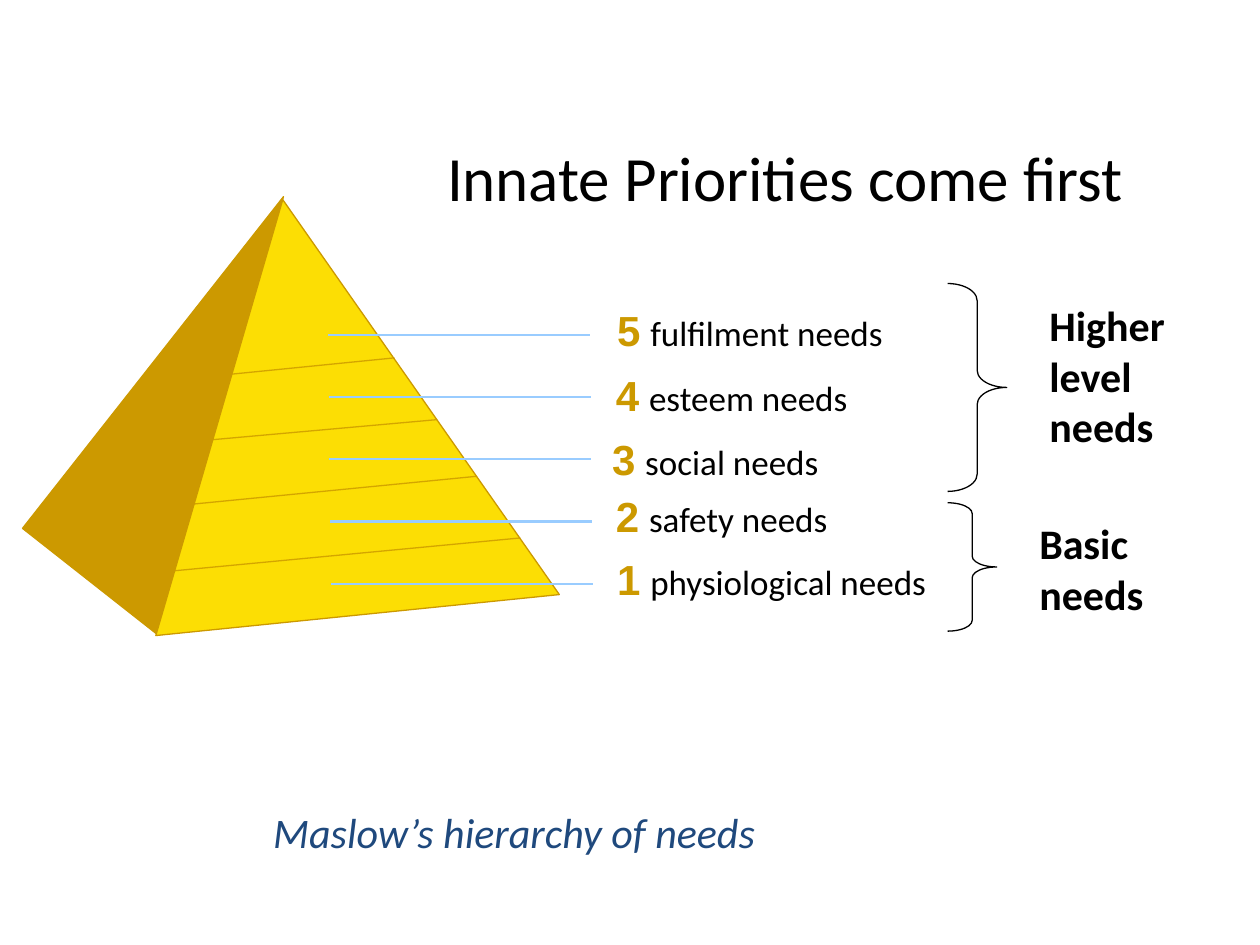
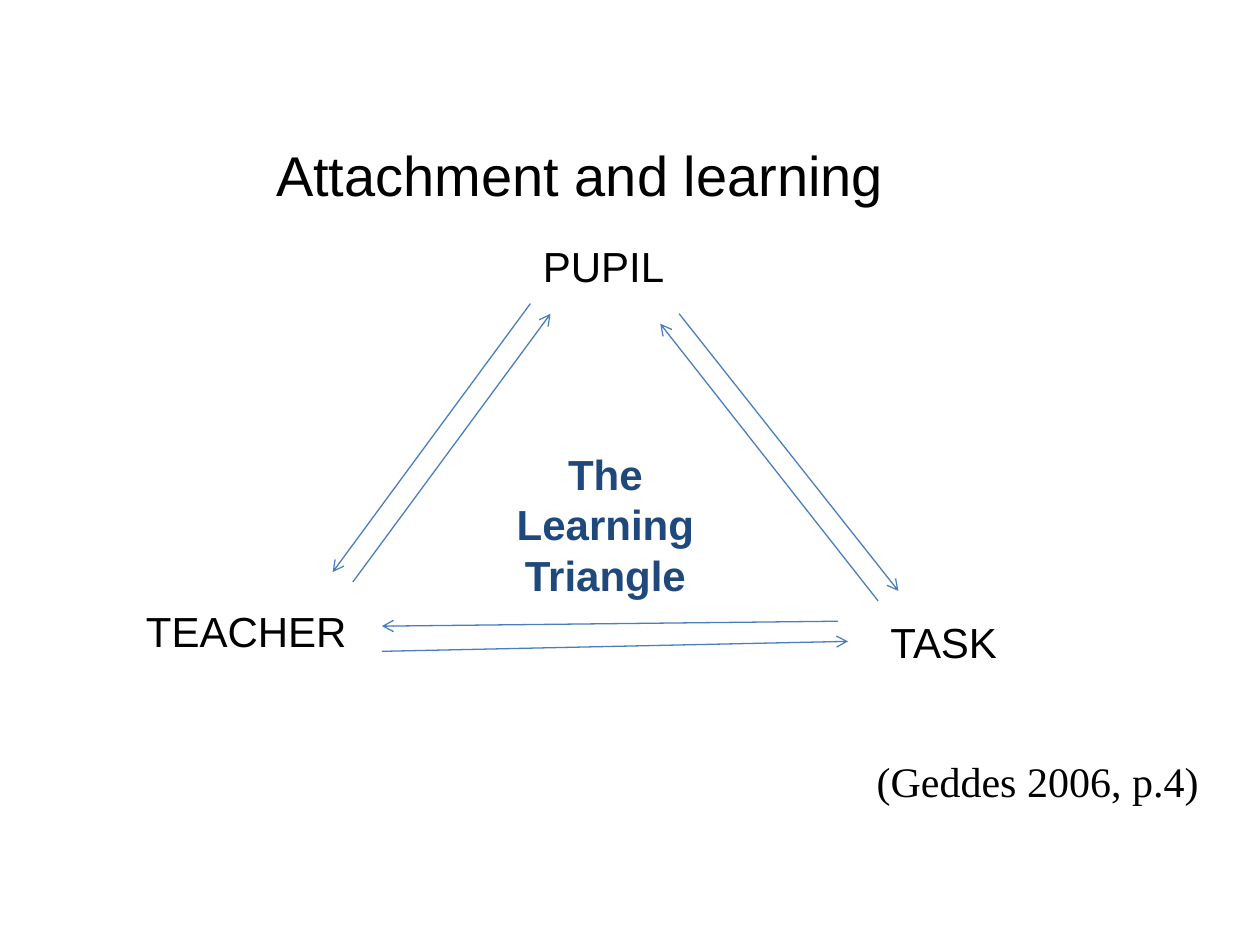
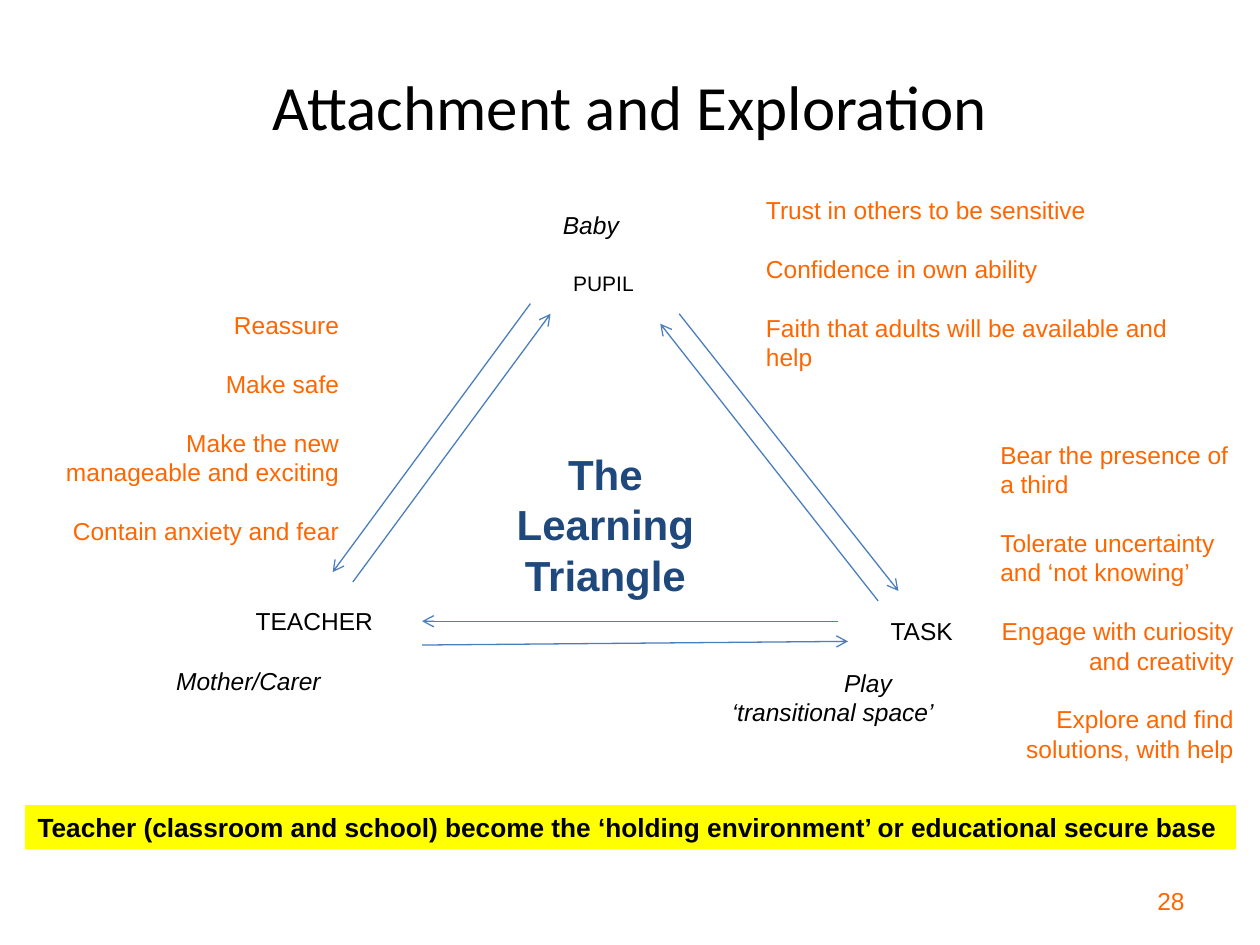
"""Build three slides on needs, attachment and the learning triangle."""
from lxml import etree
from pptx import Presentation, util as u
from pptx.dml.color import RGBColor
from pptx.enum import shapes, text
from pptx.oxml.ns import qn

Pt = u.Pt
HUE = {"ink": "000000", "gold": "CC9900", "sun": "FCDE04", "sky": "99CCFF",
       "navy": "1F497D", "blue": "4B7EBC", "fire": "FF6600", "band": "FFFF00"}
HUE = {key: RGBColor.from_string(val) for key, val in HUE.items()}
LEFT, MID, RIGHT = text.PP_ALIGN.LEFT, text.PP_ALIGN.CENTER, text.PP_ALIGN.RIGHT
KIND = shapes.MSO_SHAPE


def put(page, box, lines, size, hue="ink", side=LEFT, gap=0, mid=False, fill=None, **form):
    """Place a text box and return its frame."""
    item = page.shapes.add_textbox(*map(Pt, box))
    if fill:
        item.fill.solid()
        item.fill.fore_color.rgb = HUE[fill]
    frame = item.text_frame
    frame.word_wrap = True
    if mid:
        frame.vertical_anchor = text.MSO_ANCHOR.MIDDLE
    form = {"name": "Arial", "size": Pt(size), **form}
    for i, line in enumerate(lines):
        para = frame.paragraphs[0] if i == 0 else frame.add_paragraph()
        para.alignment = side
        if i and gap:
            para.space_before = Pt(gap)
        run = para.add_run()
        run.text = line
        run.font.color.rgb = HUE[hue]
        for key, val in form.items():
            setattr(run.font, key, val)
    return frame


def link(page, ends, hue, wide=0.75, head=False, alpha=None):
    """Draw a straight line, with an arrowhead or part opacity on request."""
    wire = page.shapes.add_connector(shapes.MSO_CONNECTOR.STRAIGHT, *map(Pt, ends))
    wire.line.color.rgb = HUE[hue]
    wire.line.width = Pt(wide)
    props = wire._element.spPr
    if alpha:
        tone = props.find(".//" + qn("a:srgbClr"))
        etree.SubElement(tone, qn("a:alpha"), val=str(alpha * 1000))
    if head:
        etree.SubElement(props.find(qn("a:ln")), qn("a:tailEnd"), type="arrow")
    etree.SubElement(props, qn("a:effectLst"))


deck = Presentation()
deck.slide_width, deck.slide_height = Pt(720), Pt(540)
needs, learn, roam = [deck.slides.add_slide(deck.slide_layouts[6]) for _ in range(3)]

forms = [
    (KIND.ISOSCELES_TRIANGLE, (77, 116.6, 97.2, 241.2), 38.2, [0], "gold", "gold"),
    (KIND.ISOSCELES_TRIANGLE, (76.3, 111.6, 231.8, 240.5), 354.2, [0.42], "sun", "gold"),
    (KIND.RIGHT_BRACE, (541.5, 162, 33.8, 118.8), 0, [0.29, 0.5], None, "ink"),
    (KIND.RIGHT_BRACE, (541.5, 287.3, 28.1, 73.4), 0, [0.22, 0.5], None, "ink"),
]
for kind, box, turn, bends, fill, edge in forms:
    form = needs.shapes.add_shape(kind, *map(Pt, box))
    form.shadow.inherit = False
    form.rotation = turn
    for i, bend in enumerate(bends):
        form.adjustments[i] = bend
    if fill:
        form.fill.solid()
        form.fill.fore_color.rgb = HUE[fill]
    else:
        form.fill.background()
    form.line.color.rgb = HUE[edge]
    form.line.width = Pt(0.75)

put(needs, (229.7, 67.7, 437.8, 66.2), ["Innate Priorities come first"], 36,
    side=MID, mid=True, name="Calibri")
for seam in [(99.4, 326.2, 297.4, 307.4), (110.9, 288, 272.2, 272.2),
             (121, 251.3, 249.8, 239.8), (132.5, 213.8, 225.4, 204.5)]:
    link(needs, seam, "gold", alpha=82)

levels = [("fulfilment", 345.6, 173.5), ("esteem", 344.9, 211), ("social", 342.7, 247.7),
          ("safety", 344.9, 280.1), ("physiological", 345.6, 316.1)]
for i, (level, left, top) in enumerate(levels):
    y = 191.5 + 35.5 * i
    link(needs, (187.5 + 0.4 * i, y, 337.2 + 0.4 * i, y), "sky", 1.25)
    para = put(needs, (left, top, 236.9, 33.1), [str(5 - i)], 24, "gold", bold=True).paragraphs[0]
    para.line_spacing = 0.9
    for words, face in [(" ", "Arial"), (level + " needs", "Calibri")]:
        run = para.add_run()
        run.text = words
        run.font.color.rgb = HUE["ink"]
        for key, val in {"name": face, "size": Pt(20), "bold": False}.items():
            setattr(run.font, key, val)

put(needs, (592.6, 167.8, 96.5, 94.3), ["Higher level needs"], 24, name="Calibri", bold=True)
put(needs, (586.8, 292.3, 90.7, 65.5), ["Basic needs"], 24, name="Calibri", bold=True)
put(needs, (74.9, 442.1, 437.8, 66.2), ["Maslow’s hierarchy of needs"], 24, "navy",
    MID, mid=True, name="Calibri", italic=True)

sides = [(201.6, 332.6, 314.6, 179.3), (303.1, 173.5, 190.1, 326.9),
         (388.1, 179.3, 513.4, 337.7), (501.8, 343.4, 377.3, 185)]
bases = [(learn, [(218.2, 372.2, 484.6, 366.5), (478.8, 355, 218.2, 357.8)]),
         (roam, [(241.2, 368.6, 484.6, 366.5), (478.8, 355, 241.2, 355)])]
for page, base in bases:
    for ends in sides + base:
        link(page, ends, "blue", head=True)
    put(page, (280.8, 252.7, 130.3, 51.1), ["The Learning Triangle"], 24, "navy", MID, bold=True)

put(learn, (127.4, 77, 408.2, 46.1), ["Attachment and learning"], 32, side=MID)
put(learn, (493.9, 428.4, 210, 36.7), ["(Geddes 2006, p.4)"], 24, name="Times New Roman")
put(roam, (54, 15.1, 612, 90), ["Attachment and Exploration"], 36,
    side=MID, mid=True, name="Calibri")
put(roam, (516.2, 500.4, 167.8, 28.8), ["28"], 14, "fire", RIGHT, mid=True)

tags = [(learn, "PUPIL", 303.1, 133.9, 96.5, 24), (learn, "TEACHER", 76.3, 342.7, 164.2, 24),
        (learn, "TASK", 501.8, 348.5, 93.6, 24), (roam, "PUPIL", 320.4, 151.2, 68.4, 12),
        (roam, "TEACHER", 139, 342.7, 102.2, 14), (roam, "TASK", 501.8, 348.5, 73.4, 14)]
for page, word, left, top, wide, size in tags:
    put(page, (left, top, wide, size * 1.5), [word], size)
for word, left, top, wide in [("Baby", 314.6, 116.6, 67.7), ("Mother/Carer", 93.6, 377.3, 124.6)]:
    put(roam, (left, top, wide, 24.5), [word], 14, italic=True)
play = put(roam, (411.1, 378, 169.9, 41), ["Play", "‘transitional space’"], 14, italic=True)
play.paragraphs[0].alignment = MID

notes = [
    ((25.2, 173.5, 175.7, 143.3), RIGHT,
     ["Reassure", "Make safe", "Make the new manageable and exciting",
      "Contain anxiety and fear"]),
    ((430.6, 108, 260.6, 108.7), LEFT,
     ["Trust in others to be sensitive", "Confidence in own ability",
      "Faith that adults will be available and help"]),
    ((564.5, 247.7, 147.6, 193.7), LEFT,
     ["Bear the presence of a third", "Tolerate uncertainty and ‘not knowing’",
      "Engage with curiosity and creativity", "Explore and find solutions, with help"]),
]
for box, side, lines in notes:
    note = put(roam, box, lines, 14, "fire", side, 16.8)
for para in note.paragraphs[2:]:
    para.alignment = RIGHT

put(roam, (14.4, 460.1, 691.9, 25.2),
    ["Teacher (classroom and school) become the ‘holding environment’ or educational secure base"],
    15, fill="band", bold=True)

deck.save("out.pptx")
